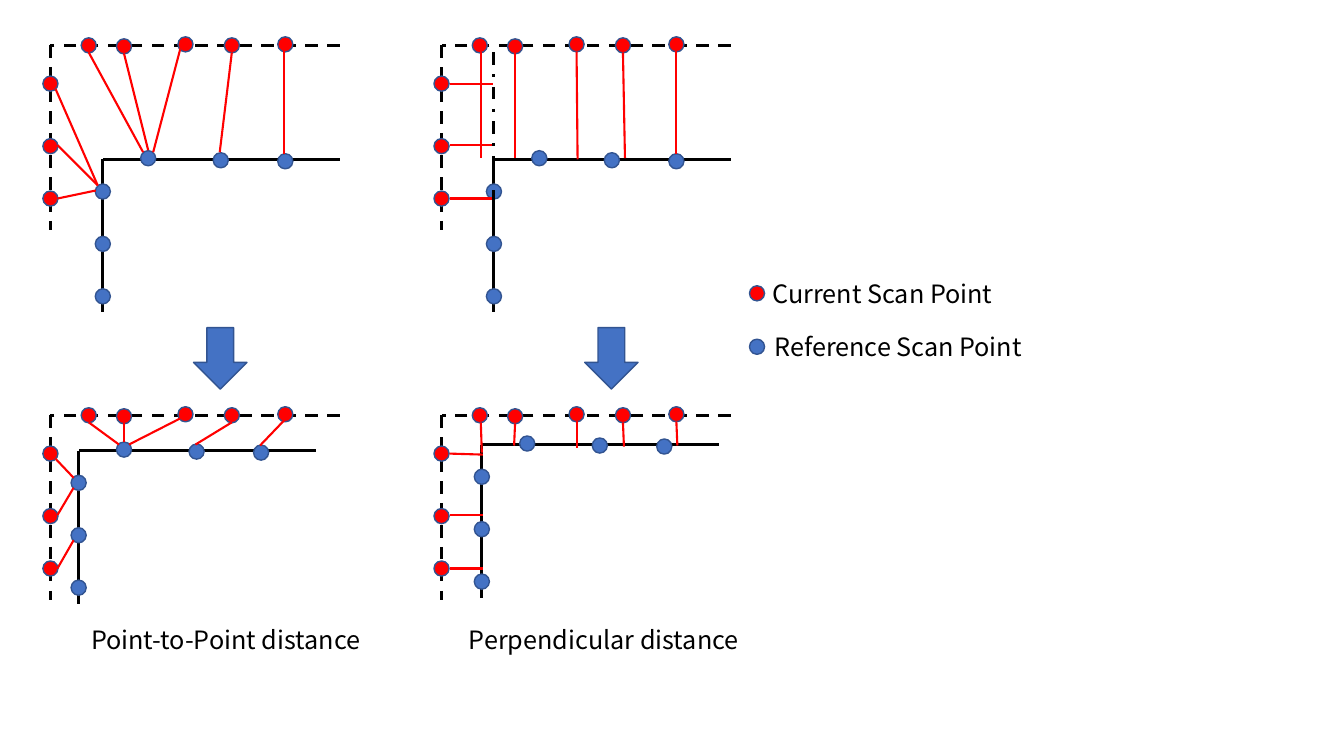
from lxml import etree
from pptx import Presentation
from pptx import util as u
from pptx.dml.color import RGBColor
from pptx.enum import dml, shapes, text
from pptx.oxml.ns import qn

# Grid: one cell is a tenth of an inch
CELL = u.Inches(0.1)
COLUMNS, ROWS = 133.33, 75

BLACK, RED, BLUE, OUTLINE = "000000", "FF0000", "4472C4", "325491"
FONT = "Noto Sans CJK JP"
DOT = 1.5

# Current scan: dots relative to the corner of the dashed frame
CURRENT_DOTS = [(3.8, 0), (7.3, 0.1), (13.4, -0.1), (18, 0), (23.3, -0.1),
                (0, 3.8), (0, 10), (0, 15.2)]
# Reference scan: dots relative to the corner of the solid frame
REFERENCE_DOTS = [(4.5, -0.1), (11.7, 0.1), (18.1, 0.2),
                  (0, 3.2), (0, 8.4), (0, 13.6)]

# Links start at the edge of each current dot
POINT_STARTS = [(3.8, 0.7), (7.3, 0.8), (12.9, 0.3), (18, 0.7), (23.2, 0.5),
                (0.5, 4.3), (0.7, 9.9), (0.7, 15.2)]
NORMAL_STARTS = [(3.9, 0.7), (7.3, 0.8), (13.4, 0.6), (18, 0.7), (23.3, 0.6),
                 (0.8, 3.8), (0.8, 9.9), (0.8, 15.2)]

# Link ends, before and after alignment
POINT_FAR = [(9.2, 10.6), (9.7, 10.4), (10.2, 10.6), (16.8, 10.6),
             (23.2, 10.8), (4.7, 13.9), (4.7, 13.9), (4.5, 14.4)]
POINT_NEAR = [(6.8, 2.9), (7.3, 2.7), (7.8, 2.9), (14.4, 2.9), (20.8, 3),
              (2.3, 6.2), (2.3, 7.2), (2.3, 12.4)]
NORMAL_FAR = [(3.9, 11.2), (7.3, 11.2), (13.5, 11.3), (18.2, 11.2),
              (23.3, 10.8), (5.1, 3.8), (5.3, 9.9), (5.3, 15.2)]
NORMAL_NEAR = [(4, 3.7), (7.2, 3), (13.4, 3.2), (18.1, 3.1), (23.4, 3),
               (4.1, 3.9), (4.1, 9.9), (4.1, 15.2)]


def cells(*lengths):
    return [round(length * CELL) for length in lengths]


def colour(hex_string):
    return RGBColor.from_string(hex_string)


def shift(origin, point):
    return origin[0] + point[0], origin[1] + point[1]


def add_line(page, start, end, hex_string, width=2.25, dash=None):
    line = page.shapes.add_connector(shapes.MSO_CONNECTOR.STRAIGHT,
                                     *cells(*start, *end))
    line.line.color.rgb = colour(hex_string)
    line.line.width = u.Pt(width)
    if dash is not None:
        line.line.dash_style = dash
    etree.SubElement(line._element.spPr, qn("a:effectLst"))


def add_filled(page, kind, left, top, width, height, fill):
    shape = page.shapes.add_shape(kind, *cells(left, top, width, height))
    shape.shadow.inherit = False
    shape.fill.solid()
    shape.fill.fore_color.rgb = colour(fill)
    shape.line.color.rgb = colour(OUTLINE)
    shape.line.width = u.Pt(1)
    return shape


def add_dot(page, centre, fill):
    left, top = shift(centre, (-DOT / 2, -DOT / 2))
    add_filled(page, shapes.MSO_SHAPE.OVAL, left, top, DOT, DOT, fill)


def add_arrow(page, left, top):
    arrow = add_filled(page, shapes.MSO_SHAPE.RIGHT_ARROW,
                       left, top, 6.1, 5.3, BLUE)
    arrow.rotation = 90


def add_label(page, words, left, top, width):
    box = page.shapes.add_textbox(*cells(left, top, width, 4))
    frame = box.text_frame
    frame.text = words
    frame.word_wrap = False
    frame.auto_size = text.MSO_AUTO_SIZE.SHAPE_TO_FIT_TEXT
    para = frame.paragraphs[0]
    para.alignment = text.PP_ALIGN.CENTER
    font = para.runs[0].font
    font.name = FONT
    font.size = u.Pt(18)
    font.color.rgb = colour(BLACK)


def add_frame(page, corner, across, down, dash=None):
    add_line(page, shift(corner, (across, 0)), corner, BLACK, dash=dash)
    add_line(page, corner, shift(corner, (0, down)), BLACK, dash=dash)


def add_panel(page, origin, offset, starts, ends):
    """Two scans of one corner, joined by their distance links."""
    corner = shift(origin, offset)
    add_frame(page, corner, 23.5, 15.2)
    add_frame(page, origin, 28.7, 18.3, dml.MSO_LINE.DASH)
    for base, dots, fill in ((origin, CURRENT_DOTS, RED),
                             (corner, REFERENCE_DOTS, BLUE)):
        for dot in dots:
            add_dot(page, shift(base, dot), fill)
    for start, end in zip(starts, ends):
        add_line(page, shift(origin, end), shift(origin, start), RED, 1.5)


def main():
    deck = Presentation()
    deck.slide_width, deck.slide_height = cells(COLUMNS, ROWS)
    page = deck.slides.add_slide(deck.slide_layouts[6])

    # Methods side by side, before alignment above and after below
    left, right, before, after = 5, 43.8, 4.5, 41.2
    add_panel(page, (left, before), (5.2, 11.3), POINT_STARTS, POINT_FAR)
    add_panel(page, (left, after), (2.8, 3.5), POINT_STARTS, POINT_NEAR)
    add_panel(page, (right, before), (5.2, 11.3), NORMAL_STARTS, NORMAL_FAR)
    add_panel(page, (right, after), (4, 2.9), NORMAL_STARTS, NORMAL_NEAR)

    # Extension of the reference wall
    add_line(page, (49, 5.2), (49, 20.4), BLACK, dash=dml.MSO_LINE.DASH_DOT)

    # Arrows between the steps
    for column in (left, right):
        add_arrow(page, column + 13.8, 32.9)

    # Method names
    add_label(page, "Point-to-Point distance", 7.7, 61.4, 29.4)
    add_label(page, "Perpendicular distance", 45.5, 61.4, 28.8)

    # Legend
    for words, fill, row, width in (
            ("Current Scan Point", RED, 29.1, 24.1),
            ("Reference Scan Point", BLUE, 34.4, 27.2)):
        add_dot(page, (75.1, row), fill)
        add_label(page, words, 75.5, row - 2, width)

    deck.save("out.pptx")


main()
